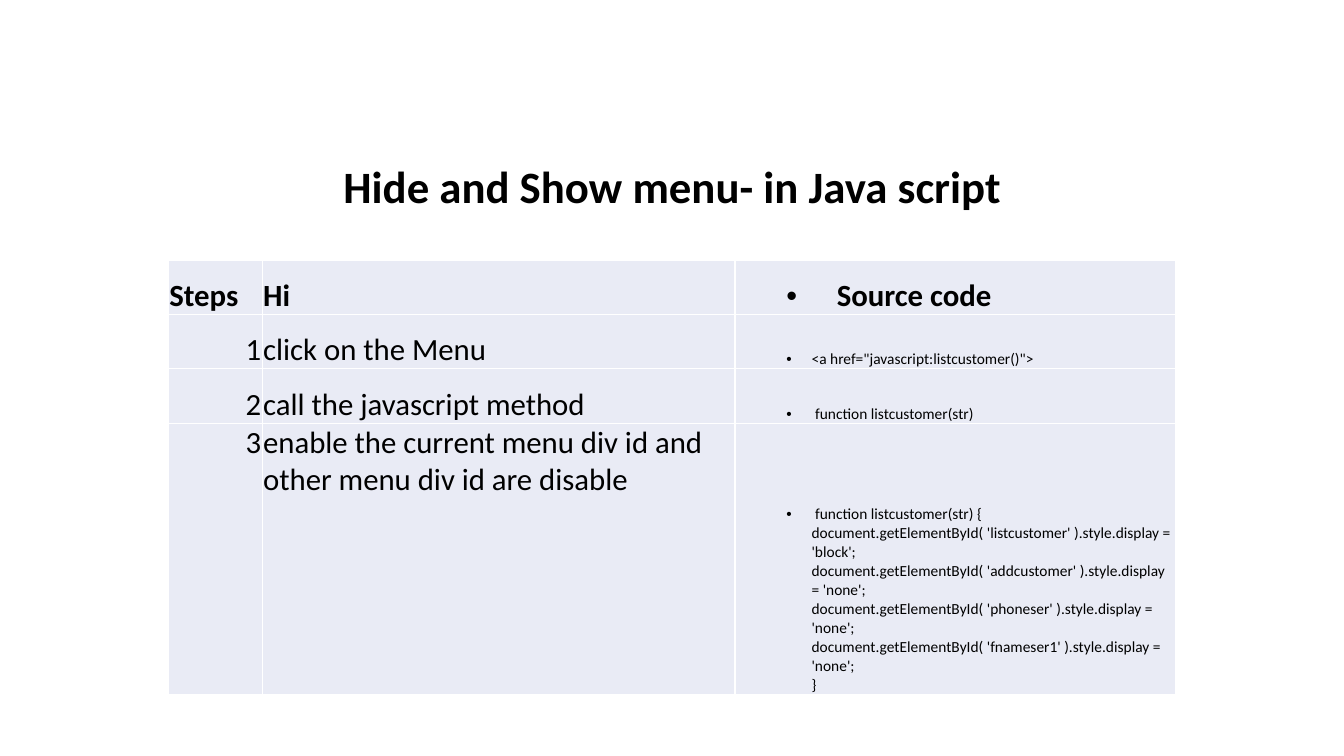
from copy import deepcopy

from lxml.etree import SubElement
from pptx import Presentation
from pptx.dml.color import RGBColor
from pptx.enum.text import MSO_ANCHOR, PP_ALIGN
from pptx.oxml.ns import qn
from pptx.util import Inches, Pt

COLORS = {"text": "000000", "cell": "E9EBF5", "border": "FFFFFF"}
TITLE = "Hide and Show menu- in Java script"
SHOW_MENU_CODE = """ function listcustomer(str) {
document.getElementById( 'listcustomer' ).style.display = 'block';
document.getElementById( 'addcustomer' ).style.display = 'none';
document.getElementById( 'phoneser' ).style.display = 'none';
document.getElementById( 'fnameser1' ).style.display = 'none';
}"""
ROWS = [
    ("Steps", "Hi", "Source code"),
    ("1", "click on the Menu", '<a href="javascript:listcustomer()">'),
    ("2", "call the javascript method", " function listcustomer(str)"),
    ("3", "enable the current menu div id and other menu div id are disable", SHOW_MENU_CODE),
]
COLUMN_WIDTHS = [0.93, 4.69, 4.37]
ROW_HEIGHTS = [0.54, 0.54, 0.54, 2.69]
LEFT, TABLE_TOP = 1.67, 2.58
CELL_FORMAT = {
    "margin_left": Inches(0.01),
    "margin_right": Inches(0.01),
    "margin_top": Inches(0.01),
    "margin_bottom": 0,
}


def style_text(para, size, bold):
    for span in para.runs:
        values = {"name": "Calibri", "size": Pt(size), "bold": bold}
        for name, value in values.items():
            setattr(span.font, name, value)
        span.font.color.rgb = RGBColor.from_string(COLORS["text"])
    for line_break in para._p.findall(qn("a:br")):
        line_break.insert(0, deepcopy(para.runs[0]._r.rPr))


def add_bullet(para, indent, hanging):
    para.level = 1
    properties = para._p.get_or_add_pPr()
    properties.set("marL", str(Inches(indent)))
    properties.set("indent", str(-Inches(hanging)))
    SubElement(properties, qn("a:buFont"), typeface="Arial")
    SubElement(properties, qn("a:buChar"), char="•")


def add_borders(cell):
    properties = cell._tc.get_or_add_tcPr()
    for position, side in enumerate(("lnL", "lnR", "lnT", "lnB")):
        line = SubElement(properties, qn(f"a:{side}"), w=str(Pt(1)))
        fill = SubElement(line, qn("a:solidFill"))
        SubElement(fill, qn("a:srgbClr"), val=COLORS["border"])
        properties.insert(position, line)


def fill_cell(cell, text, row, column):
    header, code = row == 0, column == 2
    for name, value in CELL_FORMAT.items():
        setattr(cell, name, value)
    top_aligned = row == len(ROWS) - 1 and not code
    cell.vertical_anchor = MSO_ANCHOR.TOP if top_aligned else MSO_ANCHOR.BOTTOM
    cell.fill.solid()
    cell.fill.fore_color.rgb = RGBColor.from_string(COLORS["cell"])
    add_borders(cell)

    para = cell.text_frame.paragraphs[0]
    para.text = text.replace("\n", "\v")
    para.alignment = PP_ALIGN.RIGHT if column == 0 and not header else PP_ALIGN.LEFT
    if code:
        add_bullet(para, *((1, 0.5) if header else (0.75, 0.25)))
    style_text(para, 11 if code and not header else 22, header)


def add_title(page):
    title = page.shapes.title
    title.left, title.top = Inches(LEFT), Inches(1.23)
    title.width, title.height = Inches(10), Inches(0.94)
    title.text_frame.word_wrap = True
    title.text_frame.vertical_anchor = MSO_ANCHOR.BOTTOM
    para = title.text_frame.paragraphs[0]
    para.text = TITLE
    para.alignment = PP_ALIGN.CENTER
    para.line_spacing = 0.9
    style_text(para, 32, True)


def add_steps_table(page):
    frame = page.shapes.add_table(
        len(ROWS), len(COLUMN_WIDTHS), Inches(LEFT), Inches(TABLE_TOP),
        Inches(sum(COLUMN_WIDTHS)), Inches(sum(ROW_HEIGHTS)))
    table = frame.table
    table.first_row = table.horz_banding = False
    for column, width in zip(table.columns, COLUMN_WIDTHS):
        column.width = Inches(width)
    for row, height in zip(table.rows, ROW_HEIGHTS):
        row.height = Inches(height)
    for row, texts in enumerate(ROWS):
        for column, text in enumerate(texts):
            fill_cell(table.cell(row, column), text, row, column)


def main():
    deck = Presentation()
    deck.slide_width, deck.slide_height = Inches(13.33), Inches(7.5)
    page = deck.slides.add_slide(deck.slide_layouts[5])
    add_title(page)
    add_steps_table(page)
    deck.save("out.pptx")


if __name__ == "__main__":
    main()
